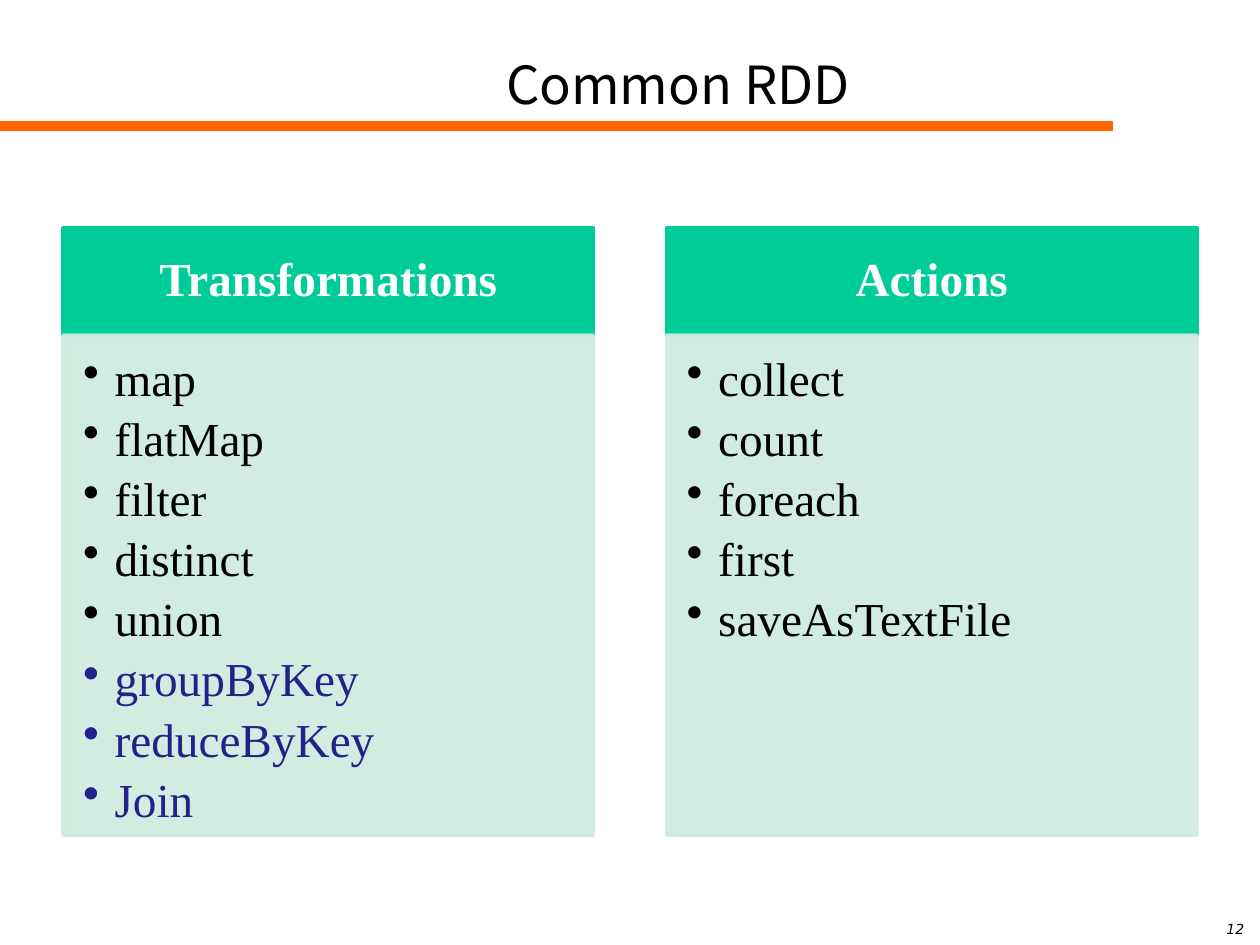
from dataclasses import dataclass

from lxml import etree
from pptx import Presentation
from pptx.dml.color import RGBColor
from pptx.enum.shapes import MSO_CONNECTOR, MSO_SHAPE
from pptx.enum.text import MSO_ANCHOR, PP_ALIGN
from pptx.oxml.ns import qn
from pptx.util import Inches, Pt

CENTER, LEFT = PP_ALIGN.CENTER, PP_ALIGN.LEFT
MIDDLE, TOP = MSO_ANCHOR.MIDDLE, MSO_ANCHOR.TOP
RECTANGLE = MSO_SHAPE.RECTANGLE
STRAIGHT = MSO_CONNECTOR.STRAIGHT

BLACK, WHITE, NAVY = "000000", "FFFFFF", "22228B"
ORANGE, GREEN, MINT = "FF6600", "00CC99", "CCECDE"
SERIF = "Times New Roman"

COLUMN_LEFT, COLUMN_STEP, COLUMN_WIDTH = 0.5, 4.79, 4.21
HEADER_TOP, HEADER_HEIGHT, BODY_HEIGHT = 1.81, 0.85, 3.97


@dataclass
class Column:
    heading: str
    operations: list[str]
    pair_operations: list[str]


COLUMNS = [
    Column(
        "Transformations",
        ["map", "flatMap", "filter", "distinct", "union"],
        ["groupByKey", "reduceByKey", "Join"],
    ),
    Column("Actions", ["collect", "count", "foreach", "first", "saveAsTextFile"], []),
]


def color(value: str) -> RGBColor:
    return RGBColor.from_string(value)


def set_frame(shape, anchor, insets=(0.1, 0.05, 0.1, 0.05)) -> None:
    """Set wrapping, anchor and the left, top, right and bottom insets."""
    frame = shape.text_frame
    frame.word_wrap = True
    frame.vertical_anchor = anchor
    frame.margin_left, frame.margin_top, frame.margin_right, frame.margin_bottom = map(
        Inches, insets
    )


def add_bullet(paragraph) -> None:
    """Give the paragraph a round bullet with a hanging indent."""
    paragraph.level = 1
    properties = paragraph._p.get_or_add_pPr()
    properties.set("marL", str(Inches(0.25)))
    properties.set("indent", str(Inches(-0.25)))
    etree.SubElement(properties, qn("a:buChar"), char="•")


def write(paragraph, text: str, *, size: float, font: str = SERIF, fill: str = BLACK,
          bold: bool = False, italic: bool = False, align=CENTER,
          bullet: bool = False, line_spacing: float = 1.0, space_after: float = 0) -> None:
    if bullet:
        add_bullet(paragraph)
    paragraph.alignment = align
    paragraph.line_spacing = line_spacing
    paragraph.space_after = Pt(space_after)
    run = paragraph.add_run()
    run.text = text
    run.font.name = font
    run.font.size = Pt(size)
    run.font.bold = bold
    run.font.italic = italic
    run.font.color.rgb = color(fill)


def add_label(slide, left: float, top: float, width: float, height: float,
              text: str, **text_format) -> None:
    box = slide.shapes.add_textbox(Inches(left), Inches(top), Inches(width), Inches(height))
    set_frame(box, MIDDLE)
    write(box.text_frame.paragraphs[0], text, **text_format)


def add_panel(slide, left: float, top: float, height: float, fill: str, opacity: int = 100):
    """Add one rectangle of a column; opacity is in percent."""
    panel = slide.shapes.add_shape(
        RECTANGLE, Inches(left), Inches(top), Inches(COLUMN_WIDTH), Inches(height)
    )
    panel.shadow.inherit = False
    panel.fill.solid()
    panel.fill.fore_color.rgb = color(fill)
    panel.line.color.rgb = color(fill)
    panel.line.width = Pt(2)
    if opacity < 100:
        for element in panel._element.spPr.iter(qn("a:srgbClr")):
            etree.SubElement(element, qn("a:alpha"), val=str(opacity * 1000))
    return panel


def add_column(slide, left: float, column: Column) -> None:
    header = add_panel(slide, left, HEADER_TOP, HEADER_HEIGHT, GREEN)
    set_frame(header, MIDDLE, (0.21, 0.12, 0.21, 0.12))
    write(header.text_frame.paragraphs[0], column.heading, size=27, fill=WHITE,
          bold=True, line_spacing=0.9)

    body = add_panel(slide, left, HEADER_TOP + HEADER_HEIGHT, BODY_HEIGHT, MINT, opacity=90)
    set_frame(body, TOP, (0.16, 0.16, 0.21, 0.24))
    frame = body.text_frame
    items = [(name, BLACK) for name in column.operations]
    items += [(name, NAVY) for name in column.pair_operations]
    for index, (name, fill) in enumerate(items):
        paragraph = frame.add_paragraph() if index else frame.paragraphs[0]
        write(paragraph, name, size=27, fill=fill, align=LEFT, bullet=True,
              line_spacing=0.9, space_after=5.2)


def add_title_rule(slide) -> None:
    rule = slide.shapes.add_connector(STRAIGHT, 0, Inches(1), Inches(8.83), Inches(1))
    rule.line.color.rgb = color(ORANGE)
    rule.line.width = Pt(6)
    etree.SubElement(rule._element.spPr, qn("a:effectLst"))


def main() -> None:
    presentation = Presentation()
    presentation.slide_width, presentation.slide_height = Inches(10), Inches(7.5)
    slide = presentation.slides.add_slide(presentation.slide_layouts[6])
    add_title_rule(slide)
    add_label(slide, 9.57, 7.21, 0.47, 0.32, "12", size=8, font="DejaVu Sans", italic=True)
    add_label(slide, 1.92, 0.33, 6.92, 0.67, "Common RDD", size=30, font="Noto Sans CJK SC")
    for index, column in enumerate(COLUMNS):
        add_column(slide, COLUMN_LEFT + index * COLUMN_STEP, column)
    presentation.save("out.pptx")


if __name__ == "__main__":
    main()
